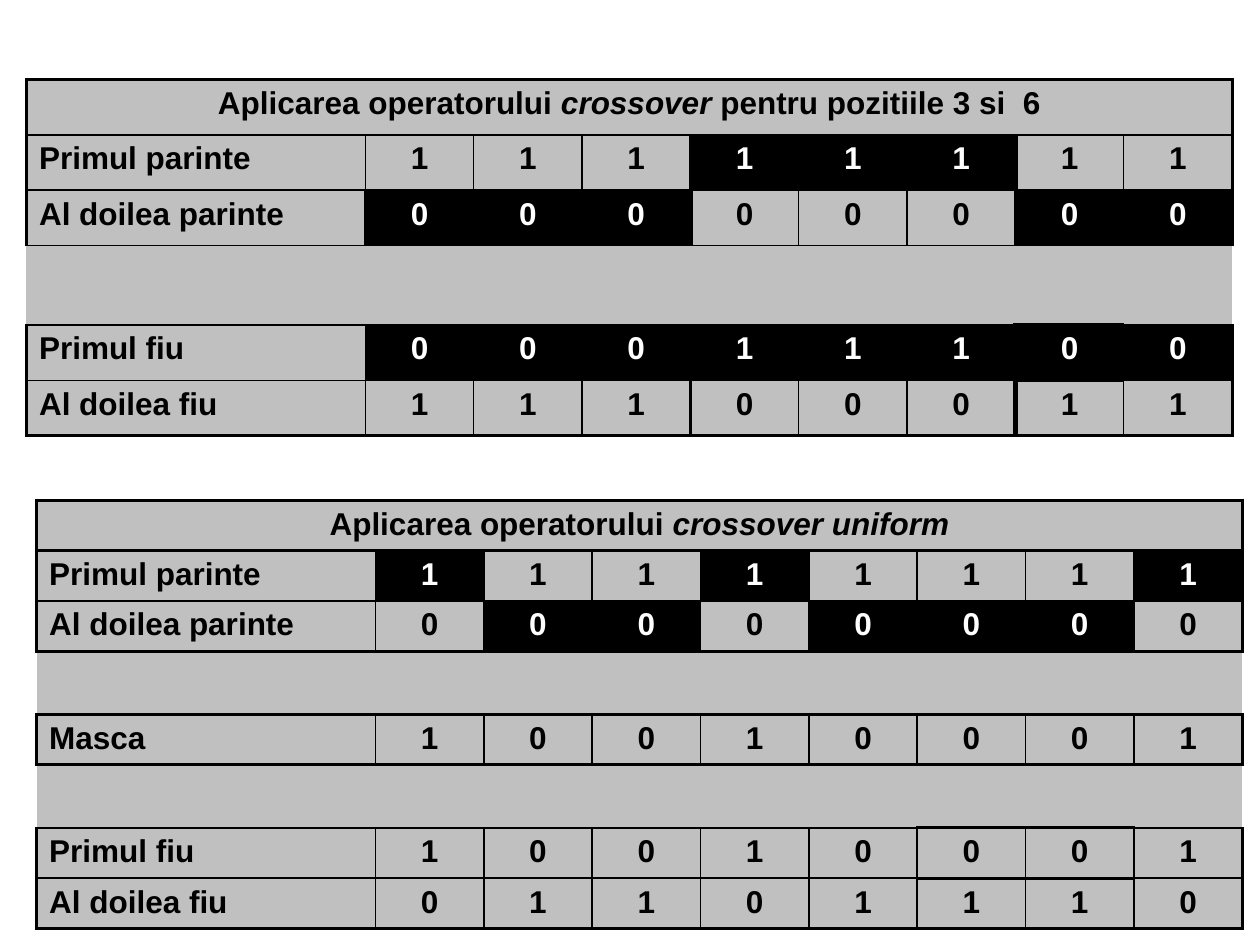
from lxml.etree import SubElement
from pptx import Presentation
from pptx.dml.color import RGBColor
from pptx.enum.text import PP_ALIGN as Align
from pptx.oxml.ns import qn
from pptx.util import Inches, Pt

BLACK = RGBColor(0x00, 0x00, 0x00)
WHITE = RGBColor(0xFF, 0xFF, 0xFF)
GRAY = RGBColor(0xC0, 0xC0, 0xC0)

BITS = 8
LABEL_W, BIT_W = 2.69, 0.86
FRAMED, OPEN = "2222222222", "0000000000"
PLAIN = "2111111112"
CUT = "2111211312"
SPACER = ("", "", "", OPEN)

TWO_POINT_TITLE = [("Aplicarea operatorului ", False), ("crossover", True),
                   (" pentru pozitiile 3 si  6", False)]
TWO_POINT_ROWS = [
    ("Primul parinte", "11111111", "456", CUT),
    ("Al doilea parinte", "00000000", "12378", "2211311213"),
    SPACER,
    ("Primul fiu", "00011100", "12345678", CUT),
    ("Al doilea fiu", "11100011", "", CUT),
]
UNIFORM_TITLE = [("Aplicarea operatorului ", False), ("crossover uniform", True)]
UNIFORM_ROWS = [
    ("Primul parinte", "11111111", "148", PLAIN),
    ("Al doilea parinte", "00000000", "23567", PLAIN),
    SPACER,
    ("Masca", "10010001", "", PLAIN),
    SPACER,
    ("Primul fiu", "10010001", "", PLAIN),
    ("Al doilea fiu", "01101110", "", PLAIN),
]


class Deck:
    font, size = "Arial", Pt(18)

    def __init__(self):
        self.prs = Presentation()
        self.prs.slide_width, self.prs.slide_height = Inches(10), Inches(7.5)
        self.s = self.prs.slides.add_slide(self.prs.slide_layouts[6])

    def text(self, cell, runs, color, align):
        p = cell.text_frame.paragraphs[0]
        p.alignment = align
        for text, italic in runs:
            r = p.add_run()
            r.text = text
            r.font.name, r.font.size = self.font, self.size
            r.font.bold, r.font.italic = True, italic
            r.font.color.rgb = color

    def borders(self, cell, **widths):
        tcPr = cell._tc.get_or_add_tcPr()
        for side, width in widths.items():
            ln = SubElement(tcPr, qn(f"a:ln{side}"), w=str(Pt(width)))
            if width:
                fill = SubElement(ln, qn("a:solidFill"))
                SubElement(fill, qn("a:srgbClr"), val=str(BLACK))
            else:
                SubElement(ln, qn("a:noFill"))

    def cell(self, cell, fill, **widths):
        self.borders(cell, **widths)
        cell.fill.solid()
        cell.fill.fore_color.rgb = fill

    def bit_table(self, left, top, row_h, gap_h, title, rows, lines, thick):
        heights = [row_h] + [row_h if label else gap_h for label, *_ in rows]
        frame = self.s.shapes.add_table(
            len(heights), BITS + 1, Inches(left), Inches(top),
            Inches(LABEL_W + BITS * BIT_W), Inches(sum(heights)))
        table = frame.table
        table.first_row = table.horz_banding = False
        for i, col in enumerate(table.columns):
            col.width = Inches(BIT_W if i else LABEL_W)
        for row, height in zip(table.rows, heights):
            row.height = Inches(height)

        for y, (label, bits, dark, edges) in enumerate([("", "", "", FRAMED)] + rows):
            for x in range(BITS + 1):
                cell = table.cell(y, x)
                is_dark = str(x) in dark
                self.cell(cell, BLACK if is_dark else GRAY,
                          L=int(edges[x]), R=int(edges[x + 1]),
                          T=2 if (y, x) in thick else int(lines[y]),
                          B=2 if (y + 1, x) in thick else int(lines[y + 1]))
                if label:
                    self.text(cell, [(bits[x - 1] if x else label, False)],
                              WHITE if is_dark else BLACK,
                              Align.CENTER if x else Align.JUSTIFY)

        table.cell(0, 0).merge(table.cell(0, BITS))
        self.text(table.cell(0, 0), title, BLACK, Align.CENTER)

    def save(self):
        self.prs.save("out.pptx")


def main():
    deck = Deck()
    deck.bit_table(0.21, 0.63, 0.44, 0.63, TWO_POINT_TITLE, TWO_POINT_ROWS,
                   "2111112", {(4, 7), (5, 7)})
    deck.bit_table(0.29, 3.97, 0.4, 0.5, UNIFORM_TITLE, UNIFORM_ROWS,
                   "221222112", {(6, 6), (6, 7), (7, 6), (7, 7)})
    deck.save()


if __name__ == "__main__":
    main()
